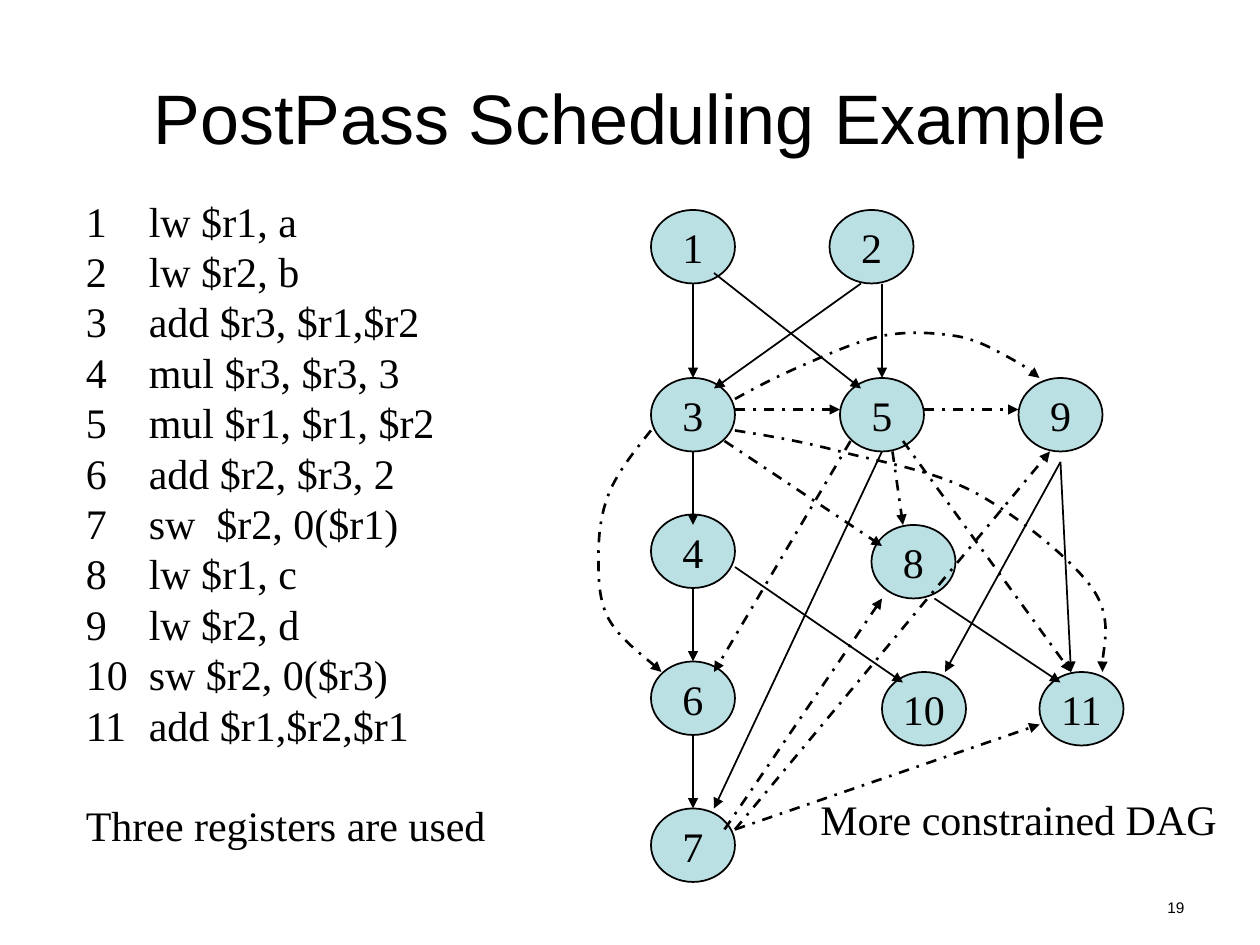
from lxml.etree import SubElement
from pptx import Presentation
from pptx.dml.color import RGBColor
from pptx.enum.dml import MSO_LINE
from pptx.enum.shapes import MSO_CONNECTOR, MSO_SHAPE
from pptx.enum.text import MSO_ANCHOR, PP_ALIGN
from pptx.oxml.ns import qn
from pptx.util import Cm, Pt

# Content
TITLE = "PostPass Scheduling Example"
TYPED = ["1\tlw $r1, a", "2\tlw $r2, b", "3\tadd $r3, $r1,$r2",
         "4\tmul $r3, $r3, 3", "5\tmul $r1, $r1, $r2"]
LISTED = ["add $r2, $r3, 2", "sw  $r2, 0($r1)", "lw $r1, c",
          "lw $r2, d", "sw $r2, 0($r3)", "add $r1,$r2,$r1"]
CLOSING = "Three registers are used"
CAPTION = "More constrained DAG"
NUMBER = "19"

# Graph, in grid steps of a twelfth of an inch
STEP = 2.54 / 12
WIDE, HIGH = 8, 7
NODES = {1: (62, 20), 2: (79, 20), 3: (62, 36), 4: (62, 49), 5: (80, 36),
         6: (62, 63), 7: (62, 77), 8: (83, 50), 9: (97, 36),
         10: (84, 64), 11: (99, 64)}
SOLID = [(66, 27, 66, 36), (82, 27, 68, 37), (68, 26, 82, 37),
         (84, 27, 84, 36), (66, 43, 66, 50), (66, 56, 66, 63),
         (66, 70, 66, 77), (84, 43, 68, 77), (70, 54, 86, 65),
         (101, 44, 90, 64), (89, 57, 101, 65), (101, 44, 102, 64)]
DASHED = [(70, 39, 80, 39), (81, 42, 68, 64), (69, 42, 84, 52),
          (85, 43, 86, 50), (88, 39, 97, 39), (70, 79, 99, 69),
          (86, 42, 102, 64), (69, 79, 84, 57), (70, 79, 100, 43)]
# Each curve: a start, then two control points and an end per piece
CURVES = [
    [(62, 41), (60.4, 43), (58.8, 45), (58, 47), (57.2, 49), (57, 51),
     (57, 53), (57, 55), (57, 57.2), (58, 59), (59, 60.8), (62.2, 63.2),
     (63, 64)],
    [(70, 38), (71.8, 37), (73.7, 36), (76, 35), (78.3, 34), (81.5, 32.5),
     (84, 32), (86.5, 31.5), (89, 31.7), (91, 32), (93, 32.3),
     (94.7, 33.3), (96, 34), (97.3, 34.7), (98.2, 35.3), (99, 36)],
    [(70, 41), (73.1, 41.5), (76.2, 42), (80, 43), (83.8, 44), (89, 44.8),
     (93, 47), (97, 49.2), (102, 53.2), (104, 56), (106, 58.8),
     (104.8, 62.7), (105, 64)],
]

INK = {name: RGBColor.from_string(code) for name, code in
       {"text": "000000", "line": "000000", "node": "BBE0E3"}.items()}
SERIF = {"name": "Times New Roman", "size": Pt(24)}
HEAD = {"name": "Arial", "size": Pt(40)}
SMALL = {"name": "Arial", "size": Pt(8.8)}
FLAT = {"word_wrap": False}


def grid(num):
    return Cm(num * STEP)


def style(item, values):
    for key, value in values.items():
        setattr(item, key, value)


def write(para, text, look, align=PP_ALIGN.LEFT):
    para.text = text
    para.alignment = align
    style(para.font, look)
    para.font.color.rgb = INK["text"]


def label(box, look, text, align):
    shape = slide.shapes.add_textbox(*map(Cm, box))
    style(shape.text_frame, FLAT)
    write(shape.text_frame.paragraphs[0], text, look, align)
    return shape


def stroke(shape, dash):
    line = shape.line
    line.color.rgb = INK["line"]
    line.width = Pt(1.5 if dash else 1)
    if dash:
        line.dash_style = MSO_LINE.DASH_DOT
    SubElement(line._get_or_add_ln(), qn("a:tailEnd"), type="triangle")


def bend(shape):
    """Turn each three line steps into one cubic curve."""
    track = shape._element.find(".//" + qn("a:path"))
    steps = track.findall(qn("a:lnTo"))
    for i in range(0, len(steps), 3):
        curve = SubElement(track, qn("a:cubicBezTo"))
        for step in steps[i:i + 3]:
            curve.append(step[0])
            track.remove(step)


deck = Presentation()
deck.slide_width, deck.slide_height = Cm(25.4), Cm(19.05)
slide = deck.slides.add_slide(deck.slide_layouts[5])

# Title
title = slide.shapes.title
style(title, {"left": Cm(1.27), "top": Cm(0.76),
              "width": Cm(22.86), "height": Cm(3.18)})
title.text_frame.vertical_anchor = MSO_ANCHOR.MIDDLE
write(title.text_frame.paragraphs[0], TITLE, HEAD, PP_ALIGN.CENTER)

# Slide number
label((18.21, 17.98, 5.92, 0.69), SMALL, NUMBER, PP_ALIGN.RIGHT)

# Instruction list
code = label((1.48, 3.81, 11.1, 13.46), SERIF, TYPED[0], PP_ALIGN.LEFT)
frame = code.text_frame
for row, text in enumerate(TYPED + LISTED + [CLOSING]):
    para = frame.add_paragraph() if row else frame.paragraphs[0]
    props = para._p.get_or_add_pPr()
    if text != CLOSING:
        style_in = {"marL": Cm(1.27), "indent": Cm(-1.27)}
        for key, value in style_in.items():
            props.set(key, str(value))
    if text in LISTED:
        SubElement(props, qn("a:buFont"), typeface=SERIF["name"])
        SubElement(props, qn("a:buAutoNum"), type="arabicPlain",
                   startAt=str(len(TYPED) + 1))
    write(para, text, SERIF)
para.space_before = Pt(28.8)

# Nodes
ovals = {}
for name, (x, y) in NODES.items():
    oval = slide.shapes.add_shape(MSO_SHAPE.OVAL, *map(grid, (x, y, WIDE, HIGH)))
    oval.shadow.inherit = False
    oval.fill.solid()
    oval.fill.fore_color.rgb = INK["node"]
    oval.line.color.rgb = INK["line"]
    oval.line.width = Pt(1)
    style(oval.text_frame, {**FLAT, "vertical_anchor": MSO_ANCHOR.MIDDLE})
    write(oval.text_frame.paragraphs[0], str(name), SERIF, PP_ALIGN.CENTER)
    ovals[name] = oval
tops = {(x + WIDE / 2, y): ovals[n] for n, (x, y) in NODES.items()}
feet = {(x + WIDE / 2, y + HIGH): ovals[n] for n, (x, y) in NODES.items()}

# Straight arrows, joined where they meet the top or foot of a node
for dash, edges in ((False, SOLID), (True, DASHED)):
    for edge in edges:
        link = slide.shapes.add_connector(MSO_CONNECTOR.STRAIGHT, *map(grid, edge))
        stroke(link, dash)
        SubElement(link._element.spPr, qn("a:effectLst"))
        if edge[:2] in feet:
            link.begin_connect(feet[edge[:2]], 2)
            # An oval has eight sites; its foot is number 4
            link._element.find(".//" + qn("a:stCxn")).set("idx", "4")
        if edge[2:] in tops:
            link.end_connect(tops[edge[2:]], 0)

# Curved arrows
for first, *rest in CURVES:
    pen = slide.shapes.build_freeform(*map(grid, first))
    pen.add_line_segments([tuple(map(grid, spot)) for spot in rest], close=False)
    arc = pen.convert_to_shape()
    arc.shadow.inherit = False
    arc.fill.background()
    stroke(arc, True)
    bend(arc)

# Caption
label((16.18, 15.88, 8.71, 1.27), SERIF, CAPTION, PP_ALIGN.CENTER)

deck.save("out.pptx")
